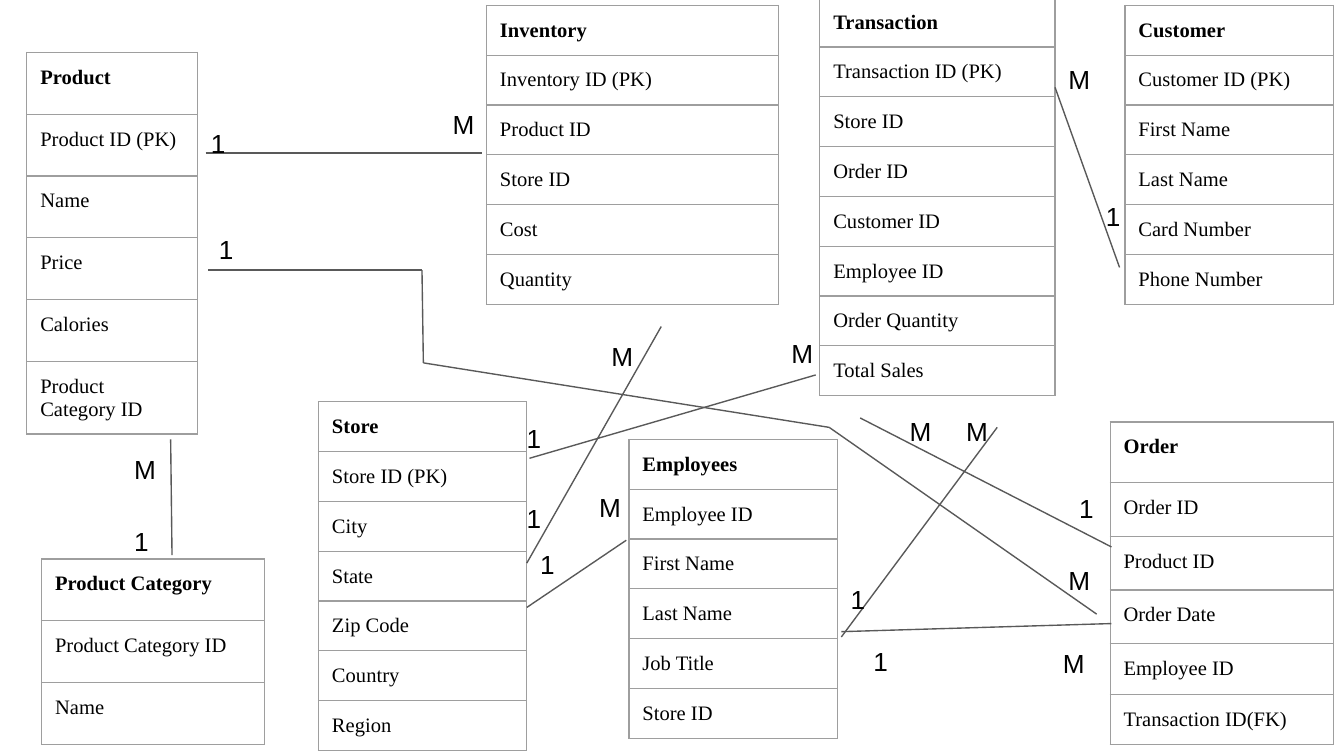
from itertools import pairwise

from lxml import etree
from pptx import Presentation
from pptx.dml.color import RGBColor
from pptx.enum import shapes, text
from pptx.oxml import ns
from pptx.util import Inches, Pt

BLACK = RGBColor(0x00, 0x00, 0x00)
BORDER = RGBColor(0x9E, 0x9E, 0x9E)
LINK = RGBColor(0x59, 0x59, 0x59)

SLIDE_SIZE = {"slide_width": Inches(10), "slide_height": Inches(10) * 9 // 16}
FIELD = {"name": "Times New Roman", "size": Pt(11), "bold": False}
HEADING = {**FIELD, "bold": True}
MARK = {"name": "Arial", "size": Pt(14), "bold": False}
MARGINS = {f"margin_{side}": Inches(0.1) for side in ("left", "right", "top", "bottom")}
TABLE_FLAGS = {"first_row": False, "horz_banding": False}
MARK_WIDTH = 0.32

ENTITIES = [
    ((0.2, 0.39, 1.27), [0.46] * 5 + [0.54],
     ["Product", "Product ID (PK)", "Name", "Price", "Calories", "Product Category ID"]),
    ((3.62, 0.04, 2.17), [0.37] * 6,
     ["Inventory", "Inventory ID (PK)", "Product ID", "Store ID", "Cost", "Quantity"]),
    ((6.1, -0.02, 1.75), [0.37] * 8,
     ["Transaction", "Transaction ID (PK)", "Store ID", "Order ID", "Customer ID",
      "Employee ID", "Order Quantity", "Total Sales"]),
    ((2.37, 2.99, 1.55), [0.37] * 7,
     ["Store", "Store ID (PK)", "City", "State", "Zip Code", "Country", "Region"]),
    ((4.68, 3.27, 1.55), [0.37] * 6,
     ["Employees", "Employee ID", "First Name", "Last Name", "Job Title", "Store ID"]),
    ((8.37, 0.04, 1.55), [0.37] * 6,
     ["Customer", "Customer ID (PK)", "First Name", "Last Name", "Card Number", "Phone Number"]),
    ((8.26, 3.14, 1.66), [0.45, 0.4, 0.4, 0.4, 0.38, 0.37],
     ["Order", "Order ID", "Product ID", "Order Date", "Employee ID", "Transaction ID(FK)"]),
    ((0.31, 4.16, 1.66), [0.46] * 3,
     ["Product Category", "Product Category ID", "Name"]),
]

RELATIONS = [
    ([(3.94, 3.41), (6.07, 2.79)], (3.82, 3.04, 0.34), (5.79, 2.41, 0.43)),
    ([(6.26, 4.74), (7.42, 3.18)], (6.23, 4.24, 0.29), (7.09, 2.99, 0.43)),
    ([(3.92, 4.52), (4.66, 4.02)], (3.92, 3.98, 0.43), (4.36, 3.56, 0.43)),
    ([(3.92, 4.19), (4.92, 2.43)], (3.82, 3.64, 0.34), (4.45, 2.43, 0.29)),
    ([(1.53, 1.14), (3.59, 1.14)], (1.47, 0.85, 0.29), (3.27, 0.71, 0.43)),
    ([(8.33, 1.99), (7.85, 0.65)], (8.13, 1.39, 0.29), (7.85, 0.37, 0.43)),
    ([(6.26, 4.7), (8.27, 4.64)], (6.4, 4.7, 0.29), (7.81, 4.72, 0.43)),
    ([(8.27, 4.07), (6.4, 3.11)], (7.93, 3.56, 0.29), (6.67, 2.99, 0.43)),
    ([(1.55, 2.01), (3.14, 2.01), (3.15, 2.7), (6.17, 3.18), (8.16, 4.57)],
     (1.53, 1.64, 0.43), (7.85, 4.1, 0.43)),
    ([(1.28, 4.13), (1.27, 3.27)], (0.9, 3.81, 0.29), (0.9, 3.27, 0.34)),
]


def apply(target, values):
    for attribute, value in values.items():
        setattr(target, attribute, value)


def write(paragraph, words, font):
    run = paragraph.add_run()
    run.text = words
    apply(run.font, font)
    run.font.color.rgb = BLACK
    paragraph.alignment = text.PP_ALIGN.LEFT


def outline_cell(cell):
    properties = cell._tc.get_or_add_tcPr()
    for position, side in enumerate(("lnL", "lnR", "lnT", "lnB")):
        edge = etree.Element(ns.qn(f"a:{side}"), w=str(Pt(0.75)))
        paint = etree.SubElement(edge, ns.qn("a:solidFill"))
        etree.SubElement(paint, ns.qn("a:srgbClr"), val=str(BORDER))
        properties.insert(position, edge)


def add_entity(slide, box, heights, fields):
    left, top, width = box
    entity = slide.shapes.add_table(
        len(fields), 1, Inches(left), Inches(top), Inches(width), Inches(sum(heights))
    ).table
    apply(entity, TABLE_FLAGS)
    for index, (height, field) in enumerate(zip(heights, fields)):
        entity.rows[index].height = Inches(height)
        cell = entity.cell(index, 0)
        apply(cell, MARGINS)
        cell.fill.background()
        outline_cell(cell)
        write(cell.text_frame.paragraphs[0], field, FIELD if index else HEADING)


def add_link(parent, start, end):
    link = parent.add_connector(
        shapes.MSO_CONNECTOR.STRAIGHT, *(Inches(value) for value in (*start, *end))
    )
    link.line.color.rgb = LINK
    link.line.width = Pt(0.75)
    etree.SubElement(link._element.spPr, ns.qn("a:effectLst"))


def add_mark(slide, mark, box):
    left, top, height = (Inches(value) for value in box)
    frame = slide.shapes.add_textbox(left, top, Inches(MARK_WIDTH), height).text_frame
    apply(frame, {**MARGINS, "word_wrap": True})
    write(frame.paragraphs[0], mark, MARK)


def add_relation(slide, route, one, many):
    parent = slide.shapes if len(route) == 2 else slide.shapes.add_group_shape().shapes
    for start, end in pairwise(route):
        add_link(parent, start, end)
    add_mark(slide, "1", one)
    add_mark(slide, "M", many)


def main():
    deck = Presentation()
    apply(deck, SLIDE_SIZE)
    slide = deck.slides.add_slide(deck.slide_layouts[6])
    for entity in ENTITIES:
        add_entity(slide, *entity)
    for relation in RELATIONS:
        add_relation(slide, *relation)
    deck.save("out.pptx")


if __name__ == "__main__":
    main()
